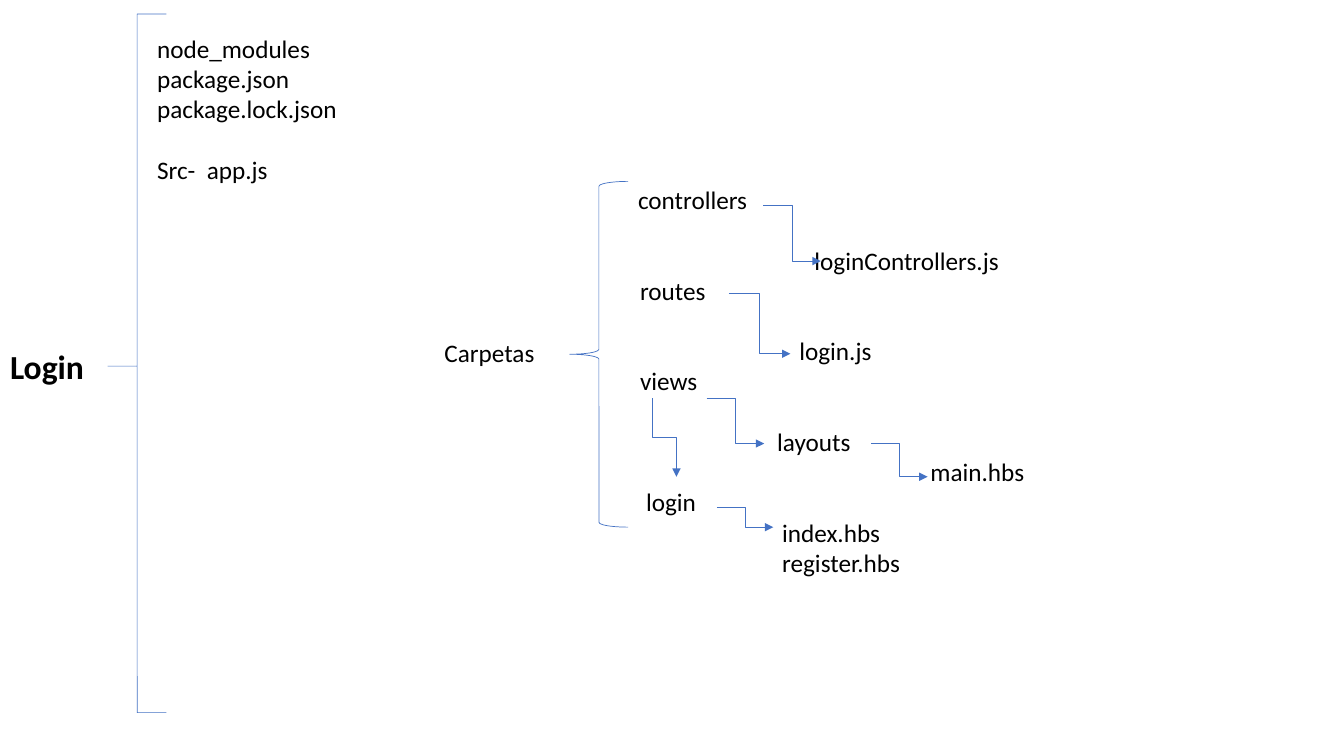
from lxml import etree
from pptx import Presentation
from pptx.dml.color import RGBColor
from pptx.enum.shapes import MSO_CONNECTOR, MSO_SHAPE
from pptx.enum.text import MSO_ANCHOR, PP_ALIGN
from pptx.oxml.ns import qn
from pptx.util import Inches, Pt

BLUE = RGBColor(0x44, 0x72, 0xC4)
BLACK = RGBColor(0, 0, 0)
FONT = "Calibri"
LINE_WIDTH = Pt(0.5)
INSET = 0.1
ROW_TOP, ROW_HEIGHT, LABEL_HEIGHT = 0.28, 0.3, 0.4

ROOT = "Login"
ROOT_FILES = ["node_modules", "package.json", "package.lock.json", "Src-  app.js"]
FOLDERS = "Carpetas"
TREE = [
    (["controllers"], 6.33, 5),
    (["loginControllers.js"], 8.08, 7),
    (["routes"], 6.35, 8),
    (["login.js"], 7.93, 10),
    (["views"], 6.35, 11),
    (["layouts"], 7.71, 13),
    (["main.hbs"], 9.23, 14),
    (["login"], 6.41, 15),
    (["index.hbs", "register.hbs"], 7.76, 16),
]
ARROWS = [
    (7.57, 2.04, 8.14, 2.59),
    (7.23, 2.91, 7.84, 3.51),
    (7.01, 3.95, 7.58, 4.4),
    (8.64, 4.4, 9.2, 4.73),
    (7.11, 5.03, 7.67, 5.23),
]
VIEWS_TO_LOGIN = (6.47, 3.95, 6.71, 4.73)
BRACES = [
    (1.07, 0.14, 0.58, 6.93, 0, 0.504),
    (5.65, 1.8, 0.58, 3.43, 0.0833, 0.5),
]


def place(shape, left, top, width, height):
    shape.left, shape.top = Inches(left), Inches(top)
    shape.width, shape.height = Inches(width), Inches(height)


def write(shape, lines, size=18, bold=False):
    frame = shape.text_frame
    frame.word_wrap = True
    frame.vertical_anchor = MSO_ANCHOR.TOP
    frame.text = "\n".join(lines)
    for paragraph in frame.paragraphs:
        paragraph.alignment = PP_ALIGN.LEFT
        font = paragraph.font
        font.name, font.size, font.bold = FONT, Pt(size), bold
        font.color.rgb = BLACK
    return frame


def add_label(lines, left, top, width):
    height = LABEL_HEIGHT + ROW_HEIGHT * (len(lines) - 1)
    box = slide.shapes.add_textbox(*map(Inches, (left, top, width, height)))
    return write(box, lines)


def add_brace(left, top, width, height, curl, point):
    brace = slide.shapes.add_shape(
        MSO_SHAPE.LEFT_BRACE, *map(Inches, (left, top, width, height)))
    brace.adjustments[0], brace.adjustments[1] = curl, point
    brace.shadow.inherit = False
    brace.fill.background()
    brace.line.color.rgb, brace.line.width = BLUE, LINE_WIDTH


def add_arrow(x1, y1, x2, y2):
    arrow = slide.shapes.add_connector(
        MSO_CONNECTOR.ELBOW, *map(Inches, (x1, y1, x2, y2)))
    arrow.line.color.rgb, arrow.line.width = BLUE, LINE_WIDTH
    properties = arrow._element.spPr
    line = properties.find(qn("a:ln"))
    etree.SubElement(line, qn("a:tailEnd")).set("type", "triangle")
    etree.SubElement(properties, qn("a:effectLst"))
    return arrow


def add_down_arrow(x1, y1, x2, y2):
    width, height = y2 - y1, x2 - x1
    left, top = (x1 + x2 - width) / 2, (y1 + y2 - height) / 2
    arrow = add_arrow(left, top, left + width, top + height)
    transform = arrow._element.spPr.find(qn("a:xfrm"))
    transform.set("rot", str(270 * 60000))
    transform.set("flipH", "1")


prs = Presentation()
prs.slide_width, prs.slide_height = Inches(13.33), Inches(7.5)
slide = prs.slides.add_slide(prs.slide_layouts[5])

title = slide.shapes.title
place(title, 0, 3.38, 1.3, 0.5)
write(title, [ROOT], 24, True)

for brace in BRACES:
    add_brace(*brace)

files = add_label(ROOT_FILES, 1.46, ROW_TOP, 2.6)
files.paragraphs[-1].space_before = Inches(ROW_HEIGHT)
add_label([FOLDERS], 4.31, 3.3, 1.34)
for lines, text_left, row in TREE:
    add_label(lines, text_left - INSET, ROW_TOP + ROW_HEIGHT * row, 2.2)

for arrow in ARROWS:
    add_arrow(*arrow)
add_down_arrow(*VIEWS_TO_LOGIN)

prs.save("out.pptx")
